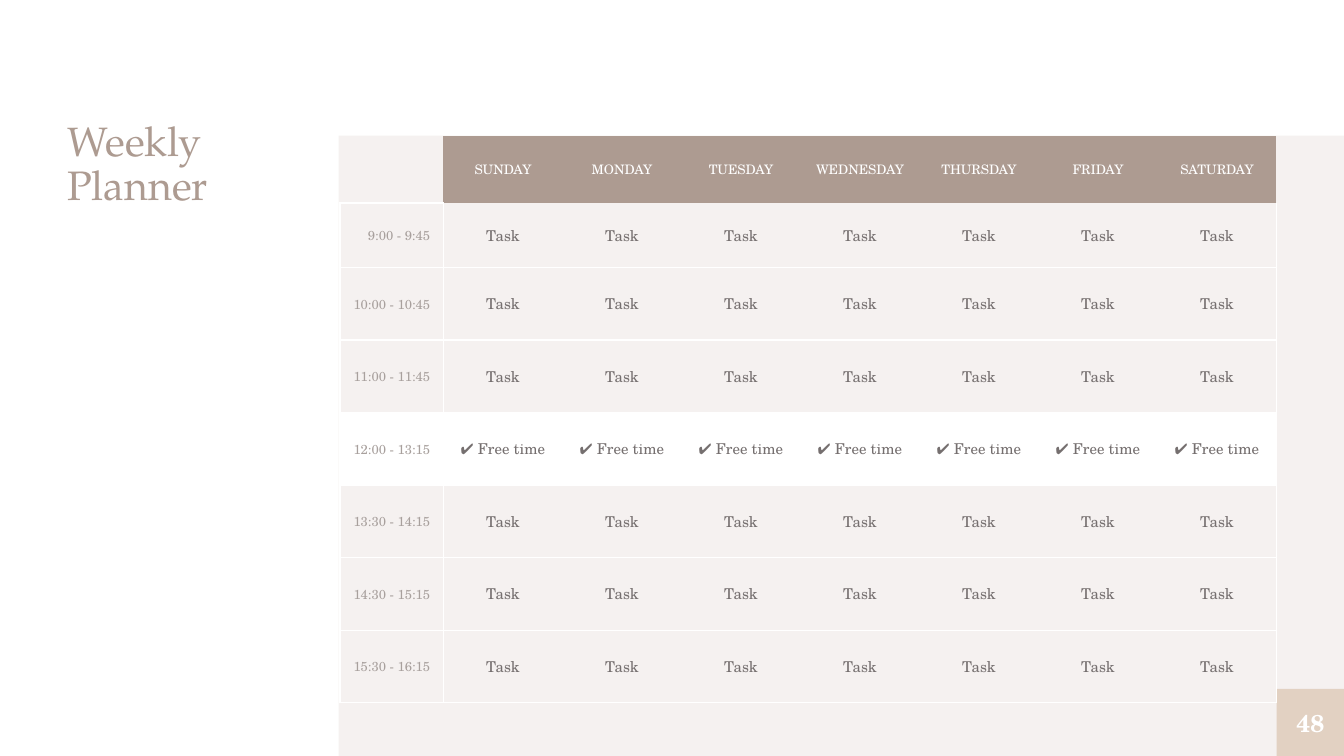
import pptx
import pptx.dml.color
import pptx.enum.shapes
import pptx.enum.text
import pptx.oxml
import pptx.oxml.ns
import pptx.util
from lxml import etree

Inches, Pt = pptx.util.Inches, pptx.util.Pt
RGBColor = pptx.dml.color.RGBColor
PP_ALIGN = pptx.enum.text.PP_ALIGN
MIDDLE = pptx.enum.text.MSO_ANCHOR.MIDDLE

TITLE = "Weekly Planner"
PAGE_NUMBER = "48"
DAYS = ["SUNDAY", "MONDAY", "TUESDAY", "WEDNESDAY", "THURSDAY", "FRIDAY", "SATURDAY"]
TASK, FREE_TIME = "Task", "✔ Free time"
SCHEDULE = [
    ("9:00 - 9:45", TASK),
    ("10:00 - 10:45", TASK),
    ("11:00 - 11:45", TASK),
    ("12:00 - 13:15", FREE_TIME),
    ("13:30 - 14:15", TASK),
    ("14:30 - 15:15", TASK),
    ("15:30 - 16:15", TASK),
]

TITLE_FONT, BODY_FONT = "TeX Gyre Pagella", "TeX Gyre Schola"
WHITE = RGBColor(0xFF, 0xFF, 0xFF)
PANEL = RGBColor(0xF5, 0xF1, 0xF0)
TAUPE = RGBColor(0xAD, 0x9B, 0x91)
SAND = RGBColor(0xE2, 0xD1, 0xC2)
TIME_GREY = RGBColor(0xA8, 0xA0, 0x9D)
TASK_GREY = RGBColor(0x75, 0x6F, 0x6F)

WIDTH = 10
HEIGHT = WIDTH * 9 / 16
PANEL_LEFT, PANEL_TOP = 2.52, 1.01
BADGE = 0.5
TABLE_LEFT = 2.53
TIME_COLUMN = 0.77
DAY_COLUMN = (WIDTH - BADGE - TABLE_LEFT - TIME_COLUMN) / len(DAYS)
ROW_HEIGHTS = [0.48, 0.48] + [0.54] * (len(SCHEDULE) - 1)


def style(paragraph, size, color, align=PP_ALIGN.LEFT, font=BODY_FONT, bold=False):
    paragraph.alignment = align
    paragraph.font.name = font
    paragraph.font.size = Pt(size)
    paragraph.font.bold = bold
    paragraph.font.color.rgb = color


def remove_insets(frame):
    frame.margin_left = frame.margin_right = frame.margin_top = frame.margin_bottom = 0
    frame.word_wrap = True


def add_block(slide, left, top, color):
    """Add a filled rectangle reaching from (left, top) to the bottom right corner."""
    shape = slide.shapes.add_shape(
        pptx.enum.shapes.MSO_SHAPE.RECTANGLE,
        Inches(left), Inches(top), Inches(WIDTH - left), Inches(HEIGHT - top))
    shape.shadow.inherit = False
    shape.fill.solid()
    shape.fill.fore_color.rgb = color
    shape.line.fill.background()
    return shape


def set_borders(cell, sides):
    """Draw white lines on the given sides (letters of LRTB) and clear the others."""
    properties = cell._tc.get_or_add_tcPr()
    for side in "LRTB":
        line = etree.SubElement(properties, pptx.oxml.ns.qn(f"a:ln{side}"), w=str(Pt(0.75)))
        if side in sides:
            fill = etree.SubElement(line, pptx.oxml.ns.qn("a:solidFill"))
            etree.SubElement(fill, pptx.oxml.ns.qn("a:srgbClr"), val=str(WHITE))
        else:
            etree.SubElement(line, pptx.oxml.ns.qn("a:noFill"))


def border_sides(row, column):
    if row == 0:
        return "B" if column == 0 else ""
    sides = "B" if row == 1 and column > 0 else "TB"
    if column <= 1:
        sides += "L"
    if column in (0, len(DAYS)):
        sides += "R"
    return sides


def fill_cell(cell, row, column, text):
    cell.margin_left = cell.margin_right = Inches(0.1)
    cell.margin_top = cell.margin_bottom = Inches(0.1)
    cell.vertical_anchor = MIDDLE
    set_borders(cell, border_sides(row, column))

    if row == 0 and column > 0:
        background = TAUPE
    else:
        background = WHITE if row > 0 and SCHEDULE[row - 1][1] == FREE_TIME else None
    if background is None:
        cell.fill.background()
    else:
        cell.fill.solid()
        cell.fill.fore_color.rgb = background

    if text:
        cell.text = text
        paragraph = cell.text_frame.paragraphs[0]
        if row == 0:
            style(paragraph, 7, WHITE, PP_ALIGN.CENTER)
        elif column == 0:
            style(paragraph, 7, TIME_GREY, PP_ALIGN.RIGHT)
        else:
            style(paragraph, 8, TASK_GREY, PP_ALIGN.CENTER)


def add_planner(slide):
    rows = [[""] + DAYS] + [[time] + [entry] * len(DAYS) for time, entry in SCHEDULE]
    column_widths = [TIME_COLUMN] + [DAY_COLUMN] * len(DAYS)
    table = slide.shapes.add_table(
        len(rows), len(column_widths), Inches(TABLE_LEFT), Inches(PANEL_TOP),
        Inches(sum(column_widths)), Inches(sum(ROW_HEIGHTS))).table
    table.first_row = table.horz_banding = False
    for column, width in zip(table.columns, column_widths):
        column.width = Inches(width)
    for table_row, height in zip(table.rows, ROW_HEIGHTS):
        table_row.height = Inches(height)
    for row, texts in enumerate(rows):
        for column, text in enumerate(texts):
            fill_cell(table.cell(row, column), row, column, text)


def main():
    presentation = pptx.Presentation()
    presentation.slide_width, presentation.slide_height = Inches(WIDTH), Inches(HEIGHT)
    slide = presentation.slides.add_slide(presentation.slide_layouts[6])

    add_block(slide, PANEL_LEFT, PANEL_TOP, PANEL)

    title = slide.shapes.add_textbox(Inches(0.5), Inches(0.9), Inches(1.78), Inches(4.23))
    remove_insets(title.text_frame)
    title.text_frame.text = TITLE
    paragraph = title.text_frame.paragraphs[0]
    paragraph.line_spacing = 0.9
    style(paragraph, 22, TAUPE, font=TITLE_FONT)

    badge = add_block(slide, WIDTH - BADGE, HEIGHT - BADGE, SAND)
    remove_insets(badge.text_frame)
    badge.text_frame.vertical_anchor = MIDDLE
    badge.text_frame.text = PAGE_NUMBER
    style(badge.text_frame.paragraphs[0], 13, WHITE, PP_ALIGN.CENTER, bold=True)

    add_planner(slide)
    presentation.save("out.pptx")


if __name__ == "__main__":
    main()
